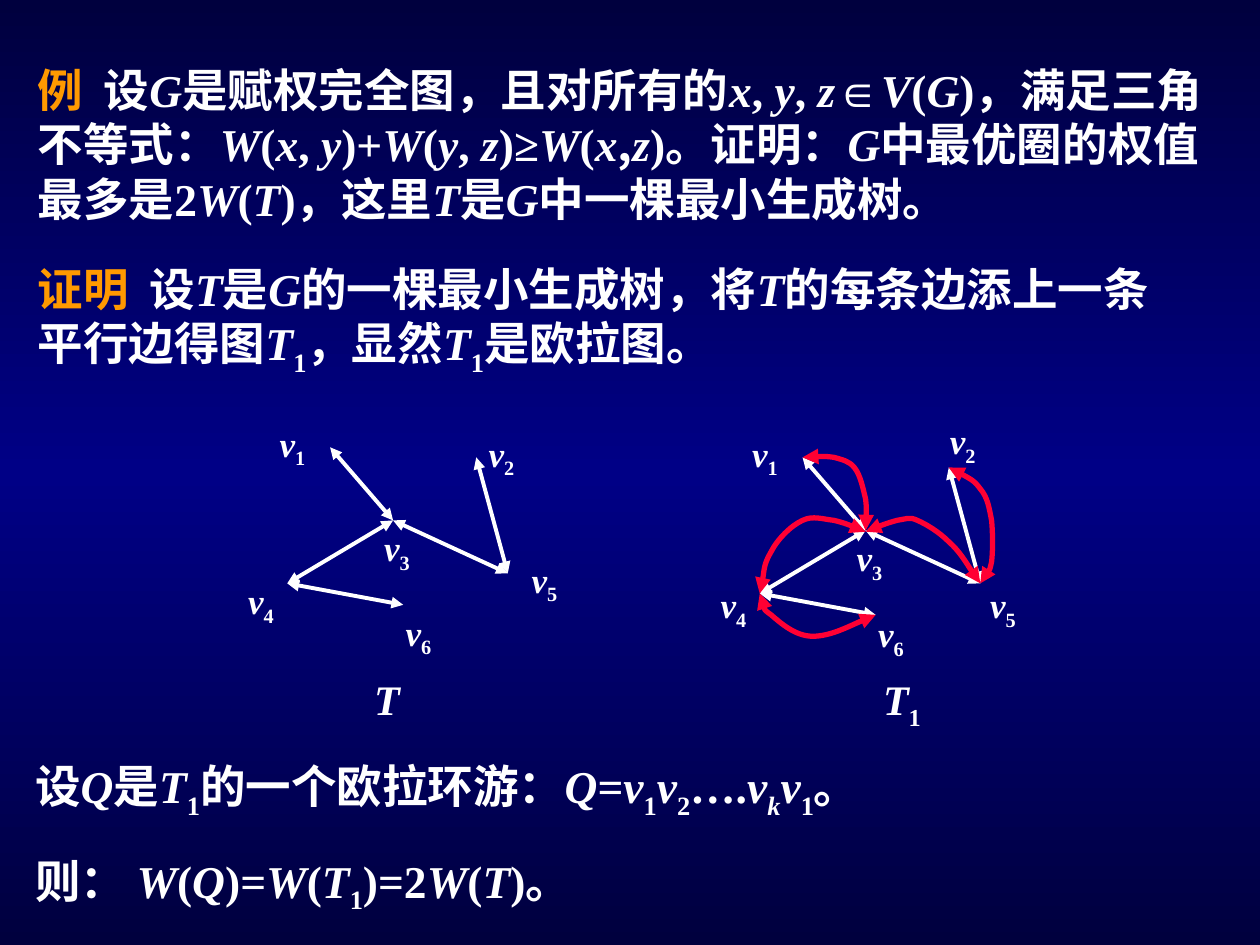
from copy import deepcopy
from itertools import groupby

from lxml import etree
from pptx import Presentation
from pptx.dml.color import RGBColor
from pptx.enum.shapes import MSO_CONNECTOR
from pptx.enum.text import MSO_AUTO_SIZE
from pptx.oxml.ns import qn
from pptx.util import Inches, Pt

STRAIGHT = MSO_CONNECTOR.STRAIGHT
GROW = MSO_AUTO_SIZE.SHAPE_TO_FIT_TEXT


class Theme:
    white = RGBColor.from_string("FFFFFF")
    orange = RGBColor.from_string("FF9900")
    red = RGBColor.from_string("FF0033")
    sky = [(0, "00003E"), (0.5, "000086"), (1, "00003E")]
    latin, asian = "Times New Roman", "Noto Sans CJK SC"
    body, title, label = Pt(26), Pt(24), Pt(20)
    edge, curve = Pt(2.25), Pt(3)
    sub = "-25000"


def split(text):
    """Letters are italic, _ lowers the next sign, ^ sets it in the Asian face."""
    signs, mark = [], ""
    for sign in text:
        if sign in "_^":
            mark = sign
        else:
            signs.append((sign, (sign.isascii() and sign.isalpha(), mark)))
            mark = ""
    for key, part in groupby(signs, lambda pair: pair[1]):
        yield "".join(sign for sign, _ in part), *key


class Board:
    def __init__(self, slide, theme):
        self.slide, self.theme = slide, theme
        self.shapes = slide.shapes

    def back(self):
        fill = self.slide.background.fill
        fill.gradient()
        fill.gradient_angle = 270
        stops = fill._fill._gradFill.find(qn("a:gsLst"))
        stops.append(deepcopy(stops[0]))
        for stop, (place, tint) in zip(fill.gradient_stops, self.theme.sky):
            stop.position = place
            stop.color.rgb = RGBColor.from_string(tint)

    def group(self):
        self.shapes = self.slide.shapes.add_group_shape().shapes

    def ungroup(self):
        self.shapes = self.slide.shapes

    def text(self, box, text, size, lead=""):
        frame = self.shapes.add_textbox(*map(Inches, box)).text_frame
        frame.word_wrap = True
        frame.auto_size = GROW
        line = frame.paragraphs[0]
        if lead:
            self.run(line, lead, size, self.theme.orange)
        for part, slant, mark in split(text):
            self.run(line, part, size, self.theme.white, slant, mark)

    def run(self, line, text, size, tint, slant=False, mark=""):
        run = line.add_run()
        run.text = text
        face = self.theme.asian if mark == "^" else self.theme.latin
        style = {"name": face, "size": size, "bold": True, "italic": slant}
        for key, value in style.items():
            setattr(run.font, key, value)
        run.font.color.rgb = tint
        props = run._r.get_or_add_rPr()
        etree.SubElement(props, qn("a:ea"), typeface=self.theme.asian)
        if mark == "_":
            props.set("baseline", self.theme.sub)

    def stroke(self, shape, tint, width):
        shape.line.color.rgb = tint
        shape.line.width = width
        for end in ("a:headEnd", "a:tailEnd"):
            etree.SubElement(shape.line._get_or_add_ln(), qn(end), type="triangle")

    def edge(self, start, end):
        line = self.shapes.add_connector(STRAIGHT, *map(Inches, start + end))
        self.stroke(line, self.theme.white, self.theme.edge)
        etree.SubElement(line._element.spPr, qn("a:effectLst"))

    def curve(self, points):
        first, *rest = [(Inches(x), Inches(y)) for x, y in points]
        pen = self.shapes.build_freeform(*first)
        pen.add_line_segments(rest, close=False)
        shape = pen.convert_to_shape()
        shape.shadow.inherit = False
        shape.fill.background()
        self.stroke(shape, self.theme.red, self.theme.curve)
        # Each three straight steps become one Bezier step
        track = next(shape._element.iter(qn("a:path")))
        steps = track.findall(qn("a:lnTo"))
        for i in range(0, len(steps), 3):
            bend = etree.SubElement(track, qn("a:cubicBezTo"))
            for step in steps[i:i + 3]:
                bend.append(step[0])
                track.remove(step)

    def tree(self, nodes, shift, labels):
        dx, dy = shift
        spots = {n: (x + dx, y + dy) for n, (x, y) in nodes.items()}
        for a, b in EDGES:
            self.edge(spots[a], spots[b])
        for n, (x, y) in enumerate(labels, 1):
            self.text((x, y, 0.52, 0.48), f"v_{n}", self.theme.label)


# Shared tree
NODES = {1: (2.62, 3.55), 2: (3.78, 3.63), 3: (3.12, 4.13),
         4: (2.28, 4.63), 5: (4.03, 4.55), 6: (3.2, 4.8)}
EDGES = [(1, 3), (3, 4), (3, 5), (2, 5), (4, 6)]
LEFT = [(2.12, 3.3), (3.78, 3.38), (2.95, 4.13),
        (1.87, 4.55), (4.12, 4.38), (3.12, 4.8)]
RIGHT = [(5.87, 3.38), (7.44, 3.28), (6.7, 4.21),
         (5.62, 4.58), (7.76, 4.58), (6.87, 4.81)]

# Added parallel edges: a start, then three points per Bezier step
CURVES = [
    [(6.37, 3.63), (6.46, 3.62), (6.55, 3.62), (6.62, 3.63), (6.69, 3.65),
     (6.74, 3.66), (6.78, 3.71), (6.83, 3.77), (6.85, 3.88), (6.87, 3.96),
     (6.88, 4.05), (6.87, 4.17), (6.87, 4.21)],
    [(6.87, 4.22), (6.96, 4.18), (7.05, 4.15), (7.12, 4.13), (7.19, 4.12),
     (7.22, 4.1), (7.28, 4.13), (7.35, 4.16), (7.45, 4.22), (7.53, 4.3),
     (7.62, 4.38), (7.74, 4.58), (7.78, 4.63)],
    [(7.53, 3.71), (7.63, 3.76), (7.73, 3.81), (7.78, 3.88), (7.84, 3.95),
     (7.85, 4.03), (7.87, 4.13), (7.88, 4.23), (7.88, 4.38), (7.87, 4.46),
     (7.85, 4.55), (7.8, 4.6), (7.78, 4.63)],
    [(6.87, 4.22), (6.78, 4.18), (6.7, 4.15), (6.62, 4.13), (6.53, 4.12),
     (6.45, 4.09), (6.37, 4.13), (6.28, 4.17), (6.17, 4.28), (6.12, 4.38),
     (6.06, 4.48), (6.05, 4.66), (6.03, 4.71)],
    [(6.03, 4.71), (6.04, 4.77), (6.05, 4.83), (6.12, 4.88), (6.19, 4.94),
     (6.31, 5.05), (6.45, 5.05), (6.59, 5.05), (6.87, 4.91), (6.95, 4.88)],
]


def main():
    deck = Presentation()
    deck.slide_width, deck.slide_height = Inches(10), Inches(7.5)
    theme = Theme()
    board = Board(deck.slides.add_slide(deck.slide_layouts[6]), theme)
    board.back()

    # Problem and proof
    board.text((0.2, 0.44, 9.53, 1.4),
               "设G是赋权完全图，且对所有的x, y, z∈V(G)，满足三角不等式："
               "W(x, y)+W(y, z)≥W(x^,z)。证明：G中最优圈的权值最多是2W(T)，"
               "这里T是G中一棵最小生成树。", theme.body, "例  ")
    board.text((0.2, 2.02, 9.29, 1.03),
               "  设T是G的一棵最小生成树，将T的每条边添上一条平行边得图T_1，"
               "显然T_1是欧拉图。", theme.body, "证明")

    # Tree T
    board.group()
    board.tree(NODES, (0, 0), LEFT)
    board.text((2.87, 5.3, 0.85, 0.5), "T", theme.title)

    # Doubled tree T1
    board.group()
    board.tree(NODES, (3.75, 0.08), RIGHT)
    board.text((6.91, 5.3, 0.85, 0.56), "T_1", theme.title)
    for points in CURVES:
        board.curve(points)
    board.ungroup()

    # Euler tour
    board.text((0.18, 5.97, 8.67, 0.6),
               "设Q是T_1的一个欧拉环游：Q=v_1v_2….v_kv_1。", theme.body)
    board.text((0.18, 6.72, 8.67, 0.6), "则： W(Q)=W(T_1)=2W(T)。", theme.body)

    deck.save("out.pptx")


if __name__ == "__main__":
    main()
